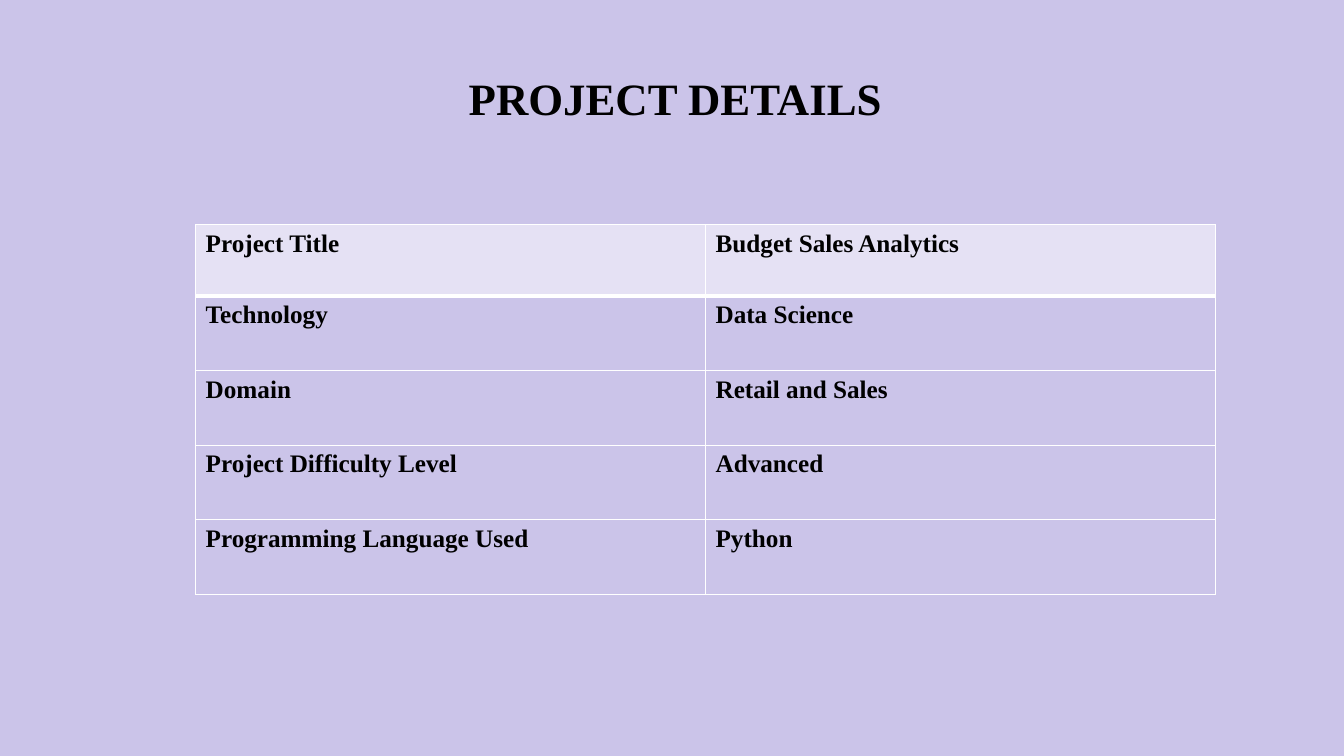
import pptx
import pptx.dml.color
import pptx.enum.text
import pptx.oxml
import pptx.oxml.ns
import pptx.util
from pptx.util import Cm

COLORS = {"lavender": "CBC4E9", "header": "E5E1F4", "border": "FFFFFF", "text": "000000"}
FONT = "Times New Roman"
DETAILS = [
    ("Project Title", "Budget Sales Analytics"),
    ("Technology", "Data Science"),
    ("Domain", "Retail and Sales"),
    ("Project Difficulty Level", "Advanced"),
    ("Programming Language Used", "Python"),
]


def rgb(name):
    """Return the named palette colour."""
    return pptx.dml.color.RGBColor.from_string(COLORS[name])


def add_run(p, text, size):
    """Add a bold run to a paragraph."""
    r = p.add_run()
    r.text = text
    r.font.name = FONT
    r.font.size = pptx.util.Pt(size)
    r.font.bold = True
    r.font.color.rgb = rgb("text")


def set_title(s, text):
    """Place and format the slide title."""
    sp = s.shapes.title
    sp.left, sp.top, sp.width, sp.height = Cm(2.02), Cm(1.45), Cm(30), Cm(2)
    tf = sp.text_frame
    tf.vertical_anchor = pptx.enum.text.MSO_ANCHOR.MIDDLE
    p = tf.paragraphs[0]
    p.alignment = pptx.enum.text.PP_ALIGN.CENTER
    add_run(p, text, 32)


def set_borders(cell, widths):
    """Draw cell borders with point widths keyed by side."""
    tc_pr = cell._tc.get_or_add_tcPr()
    for i, side in enumerate("LRTB"):
        ln = pptx.oxml.parse_xml(
            f'<a:ln{side} {pptx.oxml.ns.nsdecls("a")} w="{pptx.util.Pt(widths[side])}">'
            f'<a:solidFill><a:srgbClr val="{COLORS["border"]}"/></a:solidFill></a:ln{side}>'
        )
        tc_pr.insert(i, ln)


def add_details_table(s, rows):
    """Add the two-column table of project details."""
    header_height, row_height = Cm(1.8), Cm(1.88)
    height = header_height + row_height * (len(rows) - 1)
    table = s.shapes.add_table(len(rows), 2, Cm(4.93), Cm(5.66), Cm(25.7), height).table
    for i, values in enumerate(rows):
        table.rows[i].height = row_height if i else header_height
        for j, text in enumerate(values):
            cell = table.cell(i, j)
            cell.fill.solid()
            cell.fill.fore_color.rgb = rgb("lavender" if i else "header")
            add_run(cell.text_frame.paragraphs[0], text, 18)
            set_borders(cell, {"L": 1, "R": 1, "T": 3 if i == 1 else 1, "B": 1 if i else 3})


def main():
    """Build and save the project details slide."""
    prs = pptx.Presentation()
    prs.slide_width, prs.slide_height = Cm(33.87), Cm(19.05)
    s = prs.slides.add_slide(prs.slide_layouts[5])
    s.background.fill.solid()
    s.background.fill.fore_color.rgb = rgb("lavender")
    set_title(s, "PROJECT DETAILS")
    add_details_table(s, DETAILS)
    prs.save("out.pptx")


if __name__ == "__main__":
    main()
